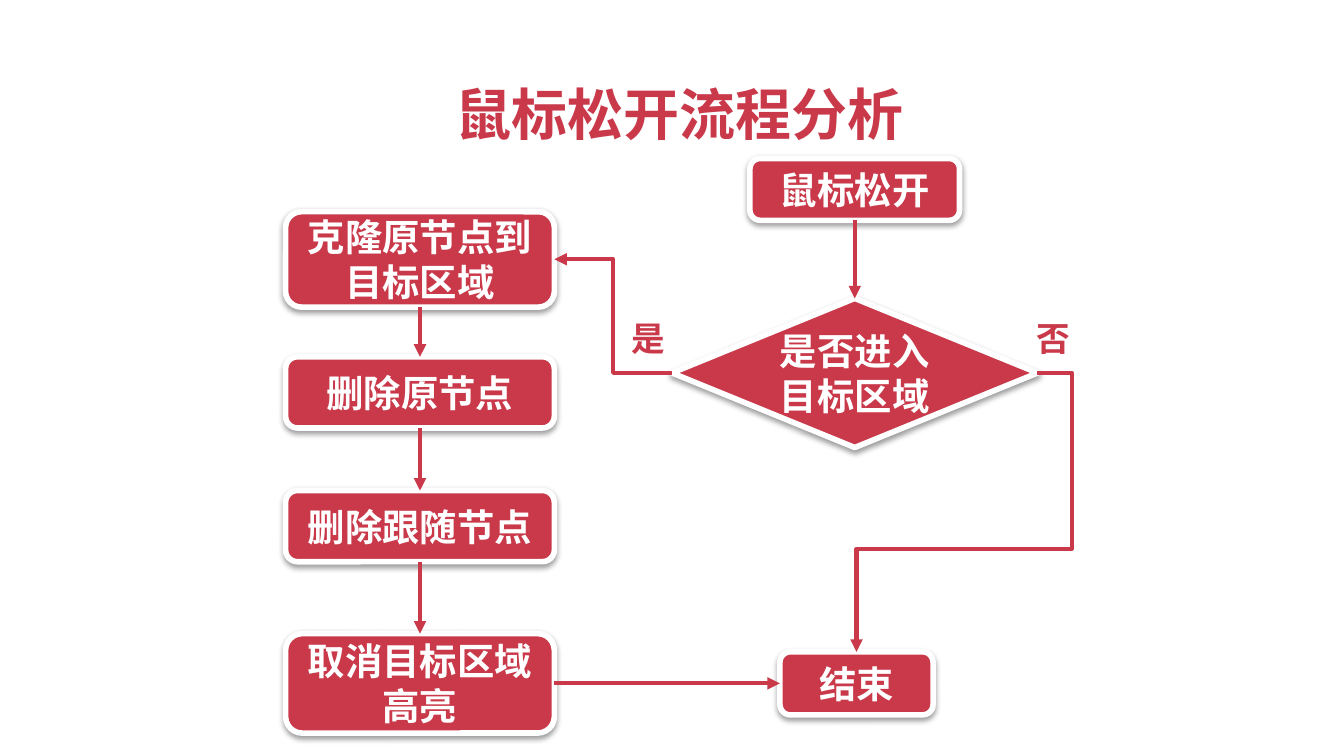
from itertools import pairwise

from lxml.etree import SubElement
from pptx import Presentation
from pptx.dml.color import RGBColor
from pptx.enum.shapes import MSO_CONNECTOR as Connector, MSO_SHAPE as Shape
from pptx.enum.text import MSO_ANCHOR as Anchor, MSO_AUTO_SIZE as AutoSize, PP_ALIGN as Align
from pptx.oxml.ns import qn
from pptx.util import Inches, Pt

FONT = "Noto Sans CJK SC"
RED, WHITE = "C9394A", "FFFFFF"
GRID = Inches(0.1)
TOP, LEFT, BOTTOM, RIGHT = range(4)


def color(value):
    """Turn a hex string into a colour."""
    return RGBColor.from_string(value)


def place(box, left, top, width, height):
    """Return slide lengths for grid cells counted from the corner of a box."""
    return [round(cells * GRID) for cells in (box[0] + left, box[1] + top, width, height)]


def write(shape, text, size=20, fill=WHITE, align=Align.CENTER, anchor=Anchor.MIDDLE,
          wrap=True, auto_size=AutoSize.NONE):
    """Write one bold paragraph into a shape."""
    frame = shape.text_frame
    frame.word_wrap, frame.auto_size, frame.vertical_anchor = wrap, auto_size, anchor
    paragraph = frame.paragraphs[0]
    paragraph.alignment = align
    run = paragraph.add_run()
    run.text = text
    run.font.size, run.font.bold, run.font.name = Pt(size), True, FONT
    run.font.color.rgb = color(fill)
    SubElement(run.font._element, qn("a:ea"), typeface=FONT)


def add_node(slide, text, lengths, kind=Shape.ROUNDED_RECTANGLE):
    """Add a red flowchart node with a white rim and a soft shadow."""
    shape = slide.shapes.add_shape(kind, *lengths)
    shape.fill.solid()
    shape.fill.fore_color.rgb = color(RED)
    shape.line.color.rgb = color(WHITE)
    shape.line.width = Pt(3)
    shape.shadow.inherit = False
    effects = shape._element.spPr.find(qn("a:effectLst"))
    shadow = SubElement(effects, qn("a:outerShdw"), blurRad=str(Pt(3.1)), dist=str(Pt(1.6)),
                        dir="5400000", rotWithShape="0")
    SubElement(SubElement(shadow, qn("a:srgbClr"), val="000000"), qn("a:alpha"), val="38000")
    write(shape, text)
    return shape


def add_label(slide, text, lengths, wrap):
    """Add the answer beside a branch."""
    write(slide.shapes.add_textbox(*lengths), text, size=18, fill=RED, align=Align.LEFT,
          anchor=Anchor.TOP, wrap=wrap, auto_size=AutoSize.SHAPE_TO_FIT_TEXT)


def link(slide, start, start_side, end, end_side, kind=Connector.STRAIGHT, bends=()):
    """Join two nodes with an arrow; two bend shares make a four-part elbow."""
    connector = slide.shapes.add_connector(kind, 0, 0, 0, 0)
    connector.begin_connect(start, start_side)
    connector.end_connect(end, end_side)
    connector.line.color.rgb = color(RED)
    connector.line.width = Pt(2.25)
    properties = connector._element.spPr
    SubElement(connector.line._get_or_add_ln(), qn("a:tailEnd"), type="triangle")
    SubElement(properties, qn("a:effectLst"))
    if bends:
        geometry = properties.find(qn("a:prstGeom"))
        geometry.set("prst", "bentConnector4")
        guides = geometry.find(qn("a:avLst"))
        for number, share in enumerate(bends, 1):
            SubElement(guides, qn("a:gd"), name=f"adj{number}", fmla=f"val {round(share * 100000)}")


def add_title(slide, box):
    """Place and format the title placeholder."""
    title = slide.shapes.title
    title.left, title.top, title.width, title.height = place(box, 0, 0, 35.7, 6.1)
    write(title, "鼠标松开流程分析", size=30, fill=RED, anchor=Anchor.TOP, wrap=False,
          auto_size=AutoSize.SHAPE_TO_FIT_TEXT)


def add_steps(slide, box):
    """Stack the linked steps and return the first and last."""
    steps = (("克隆原节点到目标区域", 0, 7.1), ("删除原节点", 10.8, 5.3),
             ("删除跟随节点", 20.75, 5.3), ("取消目标区域高亮", 31.4, 7.4))
    nodes = [add_node(slide, text, place(box, 0, top, 20, height)) for text, top, height in steps]
    for upper, lower in pairwise(nodes):
        link(slide, upper, BOTTOM, lower, TOP)
    return nodes[0], nodes[-1]


def add_decision(slide, box):
    """Add start, decision and end with the no branch; return decision and end."""
    start = add_node(slide, "鼠标松开", place(box, 5.8, 0, 15.6, 4.6))
    decision = add_node(slide, "是否进入目标区域", place(box, 0, 10.4, 27.2, 11.1), Shape.DIAMOND)
    end = add_node(slide, "结束", place(box, 8.03, 36.7, 11.4, 4.7))
    link(slide, start, BOTTOM, decision, TOP)
    link(slide, decision, RIGHT, end, TOP, Connector.ELBOW, bends=(-0.19, 0.63))
    for text, left, wrap in (("是", -4, False), ("否", 26.13, True)):
        add_label(slide, text, place(box, left, 11.4, 4.5, 4), wrap)
    return decision, end


def main():
    """Build and save the slide."""
    presentation = Presentation()
    presentation.slide_width = Inches(10)
    presentation.slide_height = presentation.slide_width * 9 // 16
    slide = presentation.slides.add_slide(presentation.slide_layouts[5])
    add_title(slide, (32.7, 5.4))
    first, last = add_steps(slide, (21.25, 15.75))
    decision, end = add_decision(slide, (50, 11.8))
    link(slide, decision, LEFT, first, RIGHT, Connector.ELBOW)
    link(slide, last, RIGHT, end, LEFT, Connector.ELBOW)
    presentation.save("out.pptx")


if __name__ == "__main__":
    main()
